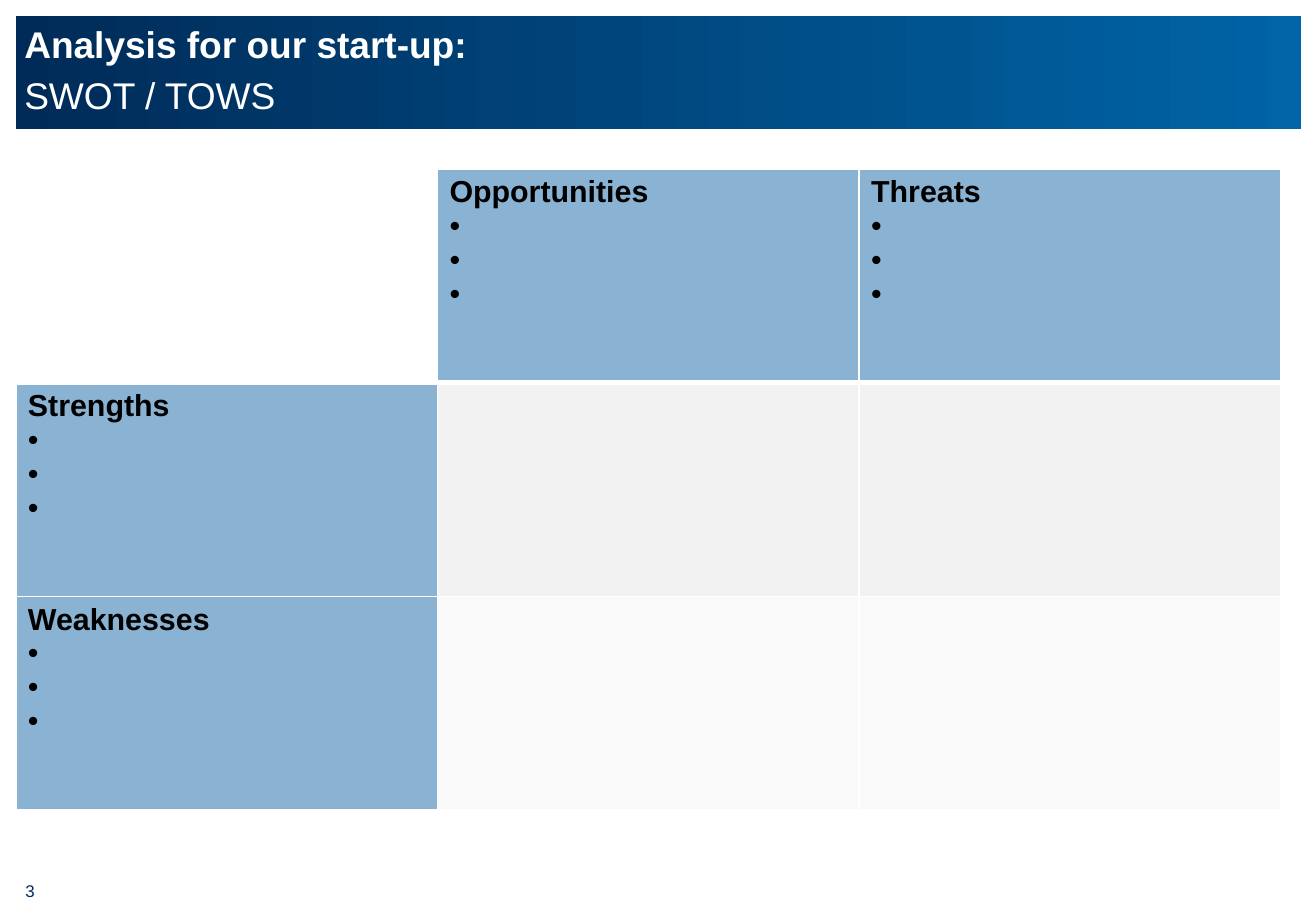
from lxml import etree
from pptx import Presentation, util as u
from pptx.dml.color import RGBColor
from pptx.enum import text
from pptx.oxml.ns import qn

COLORS = {
    "navy": "002B58", "blue": "0064A6", "number": "002C59", "white": "FFFFFF",
    "black": "000000", "factor": "8AB3D3", "strategy1": "F2F2F2", "strategy2": "F9F9F9",
}


def write(paragraph, words, color, **font_format):
    run = paragraph.add_run()
    run.text = words
    for name, value in {"name": "Arial", **font_format}.items():
        setattr(run.font, name, value)
    run.font.color.rgb = RGBColor.from_string(COLORS[color])


def border(cell, position, side, width):
    line = etree.Element(qn(f"a:{side}"), w=str(u.Pt(width)))
    fill = etree.SubElement(line, qn("a:solidFill"))
    etree.SubElement(fill, qn("a:srgbClr"), val=COLORS["white"])
    cell._tc.get_or_add_tcPr().insert(position, line)


prs = Presentation()
prs.slide_width, prs.slide_height = u.Inches(10.83), u.Inches(7.5)
slide = prs.slides.add_slide(prs.slide_layouts[1])

# Title band: heading and subheading on the same gradient
heading, subheading = slide.placeholders
bands = [
    (heading, "Analysis for our start-up:", 0.13, 0.48, 0.05, 0, True),
    (subheading, "SWOT / TOWS", 0.6, 0.46, 0, 8, False),
]
for band, words, top, height, inset, space, bold in bands:
    band.left, band.top = u.Inches(0.13), u.Inches(top)
    band.width, band.height = u.Inches(10.58), u.Inches(height)
    band.fill.gradient()
    band.fill.gradient_angle = 0
    for stop, color, position in zip(band.fill.gradient_stops, ("navy", "blue"), (0, 1)):
        stop.color.rgb = RGBColor.from_string(COLORS[color])
        stop.position = position
    frame_format = {
        "margin_left": u.Inches(0.07), "margin_right": u.Inches(0.07),
        "margin_top": u.Inches(inset), "margin_bottom": u.Inches(inset),
        "vertical_anchor": text.MSO_ANCHOR.TOP, "auto_size": text.MSO_AUTO_SIZE.NONE,
        "word_wrap": True,
    }
    for name, value in frame_format.items():
        setattr(band.text_frame, name, value)
    line = band.text_frame.paragraphs[0]
    line.alignment = text.PP_ALIGN.LEFT
    line.space_before = u.Pt(space)
    properties = line._p.get_or_add_pPr()
    properties.set("marL", "0")
    properties.set("indent", "0")
    etree.SubElement(properties, qn("a:buNone"))
    write(line, words, "white", size=u.Pt(22), bold=bold)

# SWOT / TOWS matrix
matrix_frame = slide.shapes.add_table(
    3, 3, u.Inches(0.13), u.Inches(1.39), u.Inches(10.41), u.Inches(5.28))
matrix = matrix_frame.table
matrix.first_row = matrix.horz_banding = False
factors = {(0, 1): "Opportunities", (0, 2): "Threats",
           (1, 0): "Strengths", (2, 0): "Weaknesses"}
for row in range(3):
    for column in range(3):
        cell = matrix.cell(row, column)
        factor = factors.get((row, column))
        fill = "factor" if factor else ("white", "strategy1", "strategy2")[row]
        cell.fill.solid()
        cell.fill.fore_color.rgb = RGBColor.from_string(COLORS[fill])
        # The line under the top row is heavier
        widths = {"lnL": 1, "lnR": 1, "lnT": 3 if row == 1 else 1, "lnB": 3 if row == 0 else 1}
        for position, (side, width) in enumerate(widths.items()):
            border(cell, position, side, width)
        if not factor:
            continue
        write(cell.text_frame.paragraphs[0], factor, "black", size=u.Pt(18), bold=True)
        for _ in range(3):
            point = cell.text_frame.add_paragraph()
            properties = point._p.get_or_add_pPr()
            properties.set("marL", str(u.Inches(0.31)))
            properties.set("indent", str(-u.Inches(0.31)))
            etree.SubElement(properties, qn("a:buFont"), typeface="Arial")
            etree.SubElement(properties, qn("a:buChar"), char="•")
            write(point, " ", "black", size=u.Pt(18), bold=True)

# Page number
page = slide.shapes.add_textbox(
    u.Inches(0.21), u.Inches(7.13), u.Inches(0.42), u.Inches(0.4)).text_frame
page_format = {"margin_left": 0, "margin_right": 0, "word_wrap": True,
               "vertical_anchor": text.MSO_ANCHOR.MIDDLE}
for name, value in page_format.items():
    setattr(page, name, value)
write(page.paragraphs[0], "3", "number", size=u.Pt(10))

prs.save("out.pptx")
